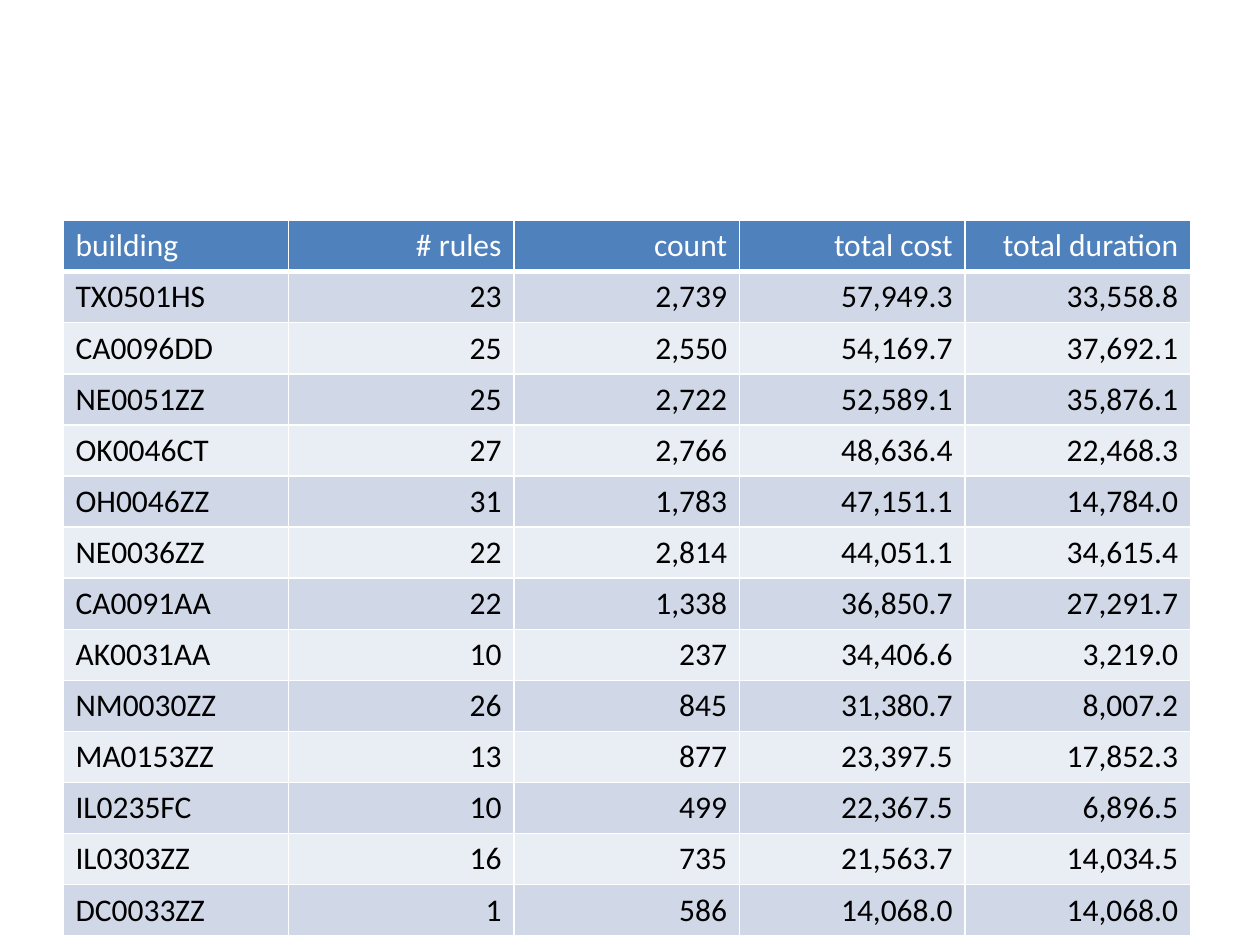
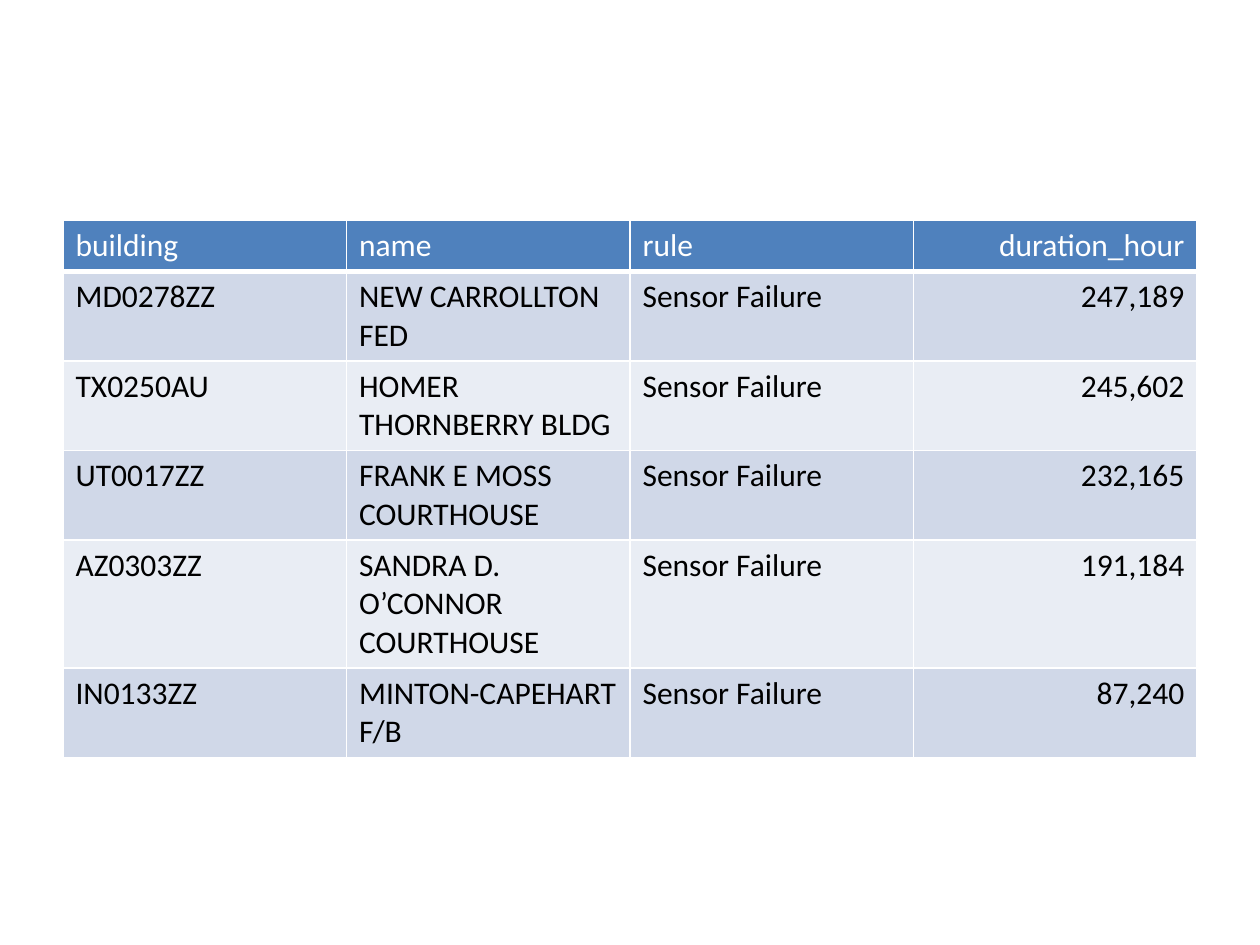
from pptx import Presentation
from pptx.dml.color import RGBColor as RGB
from pptx.enum.text import PP_ALIGN as Align
from pptx.oxml import parse_xml
from pptx.oxml.ns import nsdecls
from pptx.util import Pt

WHITE = RGB(0xFF, 0xFF, 0xFF)
BLACK = RGB(0, 0, 0)
BLUE = RGB(0x4F, 0x81, 0xBD)
BANDS = RGB(0xD0, 0xD8, 0xE8), RGB(0xE9, 0xED, 0xF4)
FONT = "Calibri"
BOX = 36, 126, 648, 355.68

COSTS = [
    ("building", "# rules", "count", "total cost", "total duration"),
    ("TX0501HS", "23", "2,739", "57,949.3", "33,558.8"),
    ("CA0096DD", "25", "2,550", "54,169.7", "37,692.1"),
    ("NE0051ZZ", "25", "2,722", "52,589.1", "35,876.1"),
    ("OK0046CT", "27", "2,766", "48,636.4", "22,468.3"),
    ("OH0046ZZ", "31", "1,783", "47,151.1", "14,784.0"),
    ("NE0036ZZ", "22", "2,814", "44,051.1", "34,615.4"),
    ("CA0091AA", "22", "1,338", "36,850.7", "27,291.7"),
    ("AK0031AA", "10", "237", "34,406.6", "3,219.0"),
    ("NM0030ZZ", "26", "845", "31,380.7", "8,007.2"),
    ("MA0153ZZ", "13", "877", "23,397.5", "17,852.3"),
    ("IL0235FC", "10", "499", "22,367.5", "6,896.5"),
    ("IL0303ZZ", "16", "735", "21,563.7", "14,034.5"),
    ("DC0033ZZ", "1", "586", "14,068.0", "14,068.0"),
]
FAULTS = [
    ("building", "name", "rule", "duration_hour"),
    ("MD0278ZZ", "NEW CARROLLTON FED", "Sensor Failure", "247,189"),
    ("TX0250AU", "HOMER THORNBERRY BLDG", "Sensor Failure", "245,602"),
    ("UT0017ZZ", "FRANK E MOSS COURTHOUSE", "Sensor Failure", "232,165"),
    ("AZ0303ZZ", "SANDRA D. O’CONNOR COURTHOUSE", "Sensor Failure", "191,184"),
    ("IN0133ZZ", "MINTON-CAPEHART F/B", "Sensor Failure", "87,240"),
]


def write(frame, text, size=18, color=BLACK, align=None):
    """Put one formatted run of text in a text frame."""
    para = frame.paragraphs[0]
    para.alignment = align
    run = para.add_run()
    run.text = text
    run.font.name = FONT
    run.font.size = Pt(size)
    run.font.color.rgb = color


def edge(cell, base):
    """Draw white cell borders, with the bottom one of width base."""
    props = cell._tc.get_or_add_tcPr()
    sides = {"L": 1, "R": 1, "T": 1, "B": base}
    for spot, (side, width) in enumerate(sides.items()):
        props.insert(spot, parse_xml(
            f'<a:ln{side} {nsdecls("a")} w="{Pt(width)}"><a:solidFill>'
            f'<a:srgbClr val="{WHITE}"/></a:solidFill></a:ln{side}>'))


def grid(slide, box, data, width, right):
    """Add a banded table; columns from index right on are right-aligned."""
    left, top, wide, high = map(Pt, box)
    shape = slide.shapes.add_table(len(data), len(data[0]),
                                   left, top, wide, high)
    table = shape.table
    for col in table.columns:
        col.width = Pt(width)
    for row in table.rows:
        row.height = Pt(0)  # rows grow to fit their text
    shape.width, shape.height = wide, high
    for r, line in enumerate(data):
        head = r == 0
        for c, text in enumerate(line):
            cell = table.cell(r, c)
            cell.fill.solid()
            cell.fill.fore_color.rgb = BLUE if head else BANDS[(r - 1) % 2]
            edge(cell, 3 if head else 1)
            write(cell.text_frame, text, color=WHITE if head else BLACK,
                  align=Align.RIGHT if c >= right else None)


def main():
    """Build the table slides and save the deck."""
    deck = Presentation()
    deck.slide_width, deck.slide_height = Pt(720), Pt(540)
    for data, width, right in ((COSTS, 128.9, 1), (FAULTS, 162, 3)):
        slide = deck.slides.add_slide(deck.slide_layouts[6])
        grid(slide, BOX, data, width, right)
    deck.save("out.pptx")


main()
